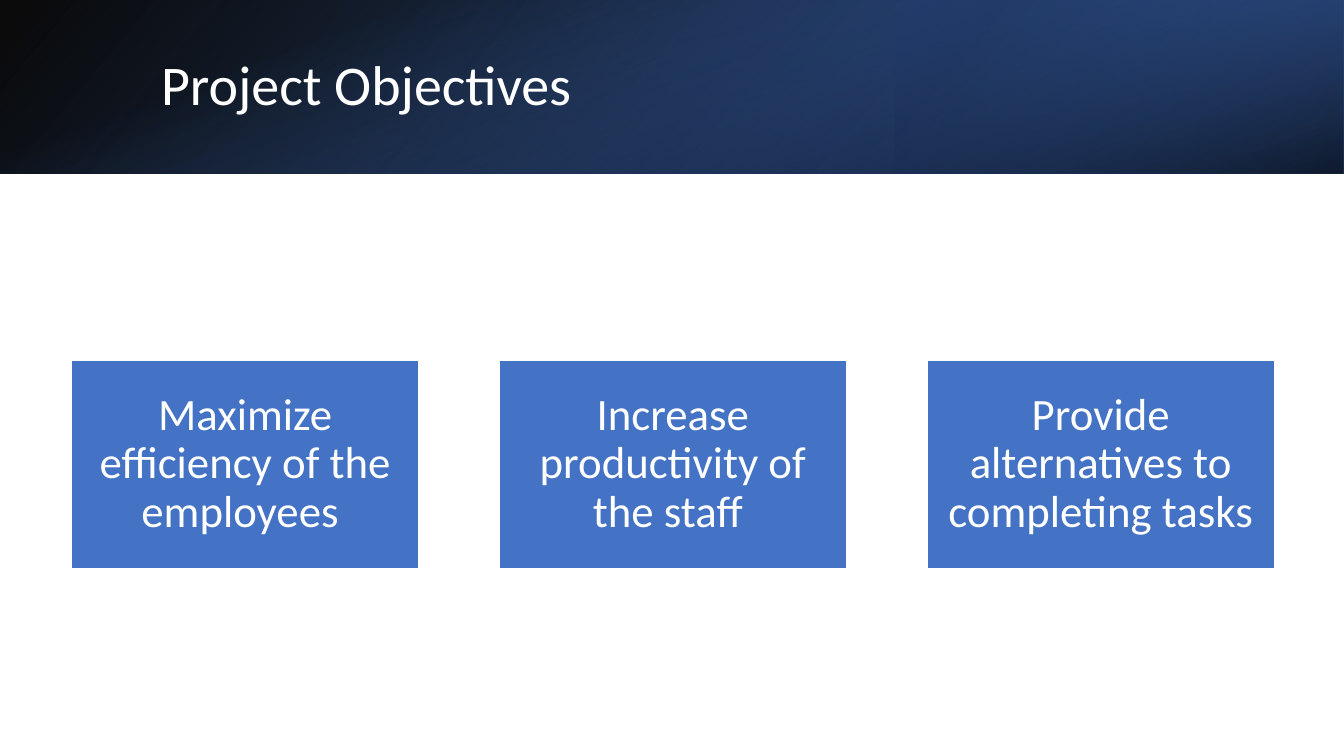
import pptx
import pptx.util
import pptx.dml.color
import pptx.enum.shapes
import pptx.enum.text
import pptx.oxml
import pptx.oxml.ns

Cm, Pt = pptx.util.Cm, pptx.util.Pt
RGB = pptx.dml.color.RGBColor
RECT = pptx.enum.shapes.MSO_SHAPE.RECTANGLE
ALIGN = pptx.enum.text.PP_ALIGN
MIDDLE = pptx.enum.text.MSO_ANCHOR.MIDDLE

WHITE = RGB(0xFF, 0xFF, 0xFF)
BLACK = RGB(0, 0, 0)
BLUE = RGB(0x44, 0x72, 0xC4)
DARK_BLUE = RGB(0x2F, 0x55, 0x97)
NAVY = RGB(0x20, 0x38, 0x64)
FONT = "Calibri"

TITLE = "Project Objectives"
OBJECTIVES = [
    "Maximize efficiency of the employees ",
    "Increase productivity of the staff ",
    "Provide alternatives to completing tasks ",
]

SLIDE_W, SLIDE_H, BAND_H = 33.87, 19.05, 4.37
MID_X, MID_Y = SLIDE_W / 2, BAND_H / 2
BAND_LAYERS = [
    ((0, 0, SLIDE_W, BAND_H), 0, True, 140,
     [(0, BLACK, 96), (100, DARK_BLUE, 100)]),
    ((SLIDE_W * 2 / 3, 0, SLIDE_W / 3, BAND_H), 180, True, 320,
     [(19, NAVY, 68), (100, BLUE, 79)]),
    ((MID_X - MID_Y, MID_Y - MID_X, BAND_H, SLIDE_W), 90, False, 340,
     [(23, BLUE, 0), (99, BLACK, 74)]),
]
BOX_LEFT, BOX_TOP, BOX_W, BOX_H, BOX_STEP = 1.8, 9.07, 8.76, 5.26, 10.78


def add_rect(s, box):
    sp = s.shapes.add_shape(RECT, *map(Cm, box))
    sp.shadow.inherit = False
    return sp


def set_gradient(sp, stops, angle):
    gs = "".join(
        f'<a:gs pos="{pos * 1000}"><a:srgbClr val="{color}">'
        f'<a:alpha val="{alpha * 1000}"/></a:srgbClr></a:gs>'
        for pos, color, alpha in stops)
    grad = pptx.oxml.parse_xml(
        f'<a:gradFill {pptx.oxml.ns.nsdecls("a")} rotWithShape="1">'
        f'<a:gsLst>{gs}</a:gsLst>'
        f'<a:lin ang="{angle * 60000}" scaled="0"/></a:gradFill>')
    sp.fill.background()
    sp_pr = sp.element.spPr
    sp_pr.replace(sp_pr.find(pptx.oxml.ns.qn("a:noFill")), grad)


def set_text(sp, text, size, align):
    tf = sp.text_frame
    tf.word_wrap = True
    tf.vertical_anchor = MIDDLE
    tf.text = text
    p = tf.paragraphs[0]
    p.alignment = align
    p.line_spacing = 0.9
    font = p.runs[0].font
    font.name, font.size, font.color.rgb = FONT, Pt(size), WHITE
    return tf


prs = pptx.Presentation()
prs.slide_width, prs.slide_height = Cm(SLIDE_W), Cm(SLIDE_H)
s = prs.slides.add_slide(prs.slide_layouts[6])

for box, rotation, flipped, angle, stops in BAND_LAYERS:
    sp = add_rect(s, box)
    sp.line.fill.background()
    sp.rotation = rotation
    if flipped:
        sp.element.spPr.xfrm.set("flipH", "1")
    set_gradient(sp, stops, angle)

title = s.shapes.add_textbox(Cm(3.81), Cm(0.97), Cm(27.89), Cm(2.44))
set_text(title, TITLE, 40, ALIGN.LEFT)

for i, objective in enumerate(OBJECTIVES):
    sp = add_rect(s, (BOX_LEFT + i * BOX_STEP, BOX_TOP, BOX_W, BOX_H))
    sp.fill.solid()
    sp.fill.fore_color.rgb = BLUE
    sp.line.color.rgb = WHITE
    sp.line.width = Pt(1)
    tf = set_text(sp, objective, 32, ALIGN.CENTER)
    tf.margin_left = tf.margin_right = Cm(0.43)
    tf.margin_top = tf.margin_bottom = Cm(0.46)

prs.save("out.pptx")
